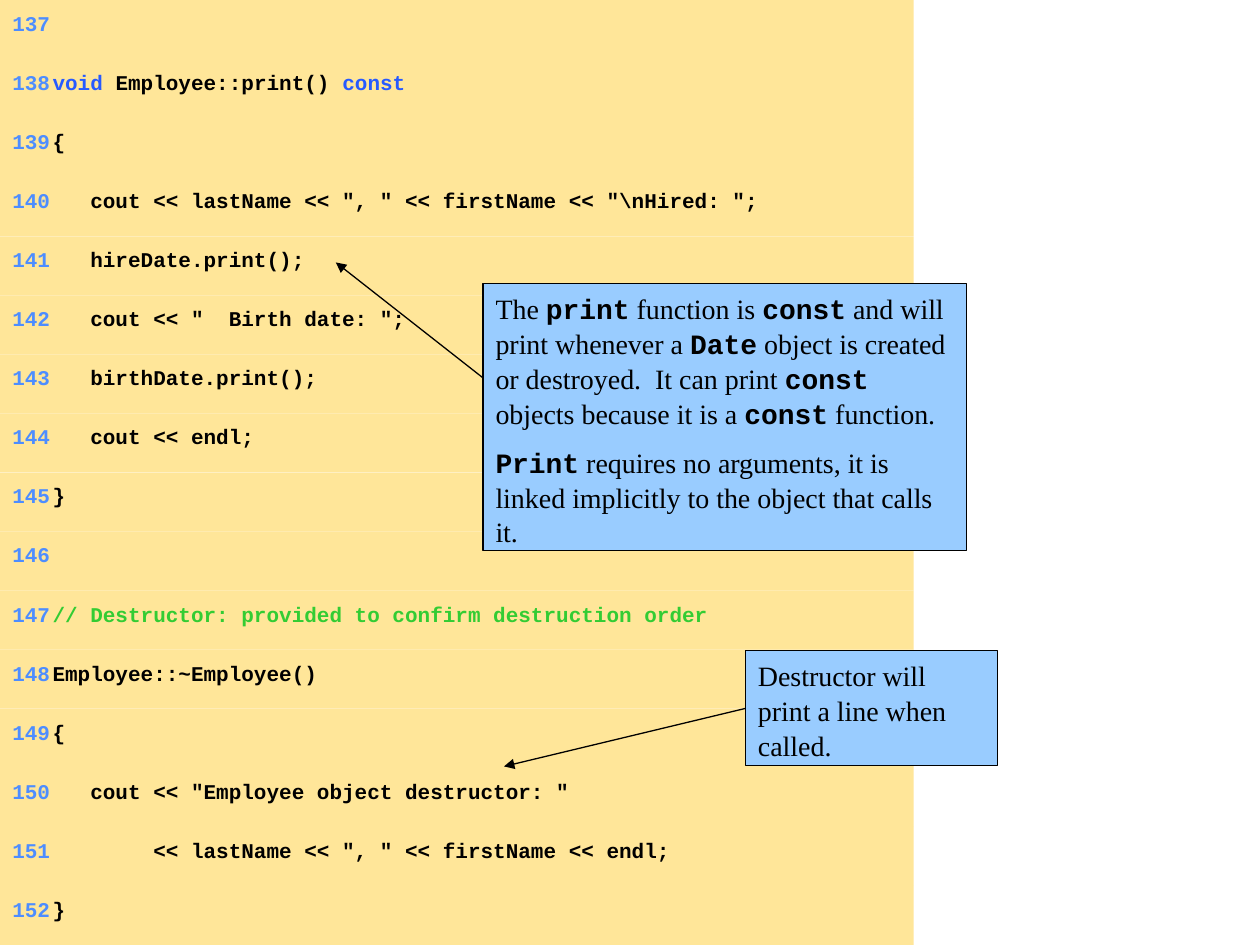
from lxml import etree
from pptx import Presentation
from pptx.dml.color import RGBColor
from pptx.enum.shapes import MSO_CONNECTOR, MSO_SHAPE
from pptx.enum.text import MSO_ANCHOR, PP_ALIGN
from pptx.oxml.ns import qn
from pptx.util import Cm, Pt

RECT = MSO_SHAPE.RECTANGLE
STRAIGHT = MSO_CONNECTOR.STRAIGHT
TOP = MSO_ANCHOR.TOP
LEFT = PP_ALIGN.LEFT
LEFT_SIDE = 1

COLORS = {
    "listing": "FFE699",
    "callout": "99CCFF",
    "number": "4D8DFF",
    "keyword": "275AFF",
    "comment": "33CC33",
    "plain": "000000",
}
CODE_FONT = "Courier New"
PROSE_FONT = "Times New Roman"

FIRST_LINE = 137
CODE = [
    [],
    [("void", "keyword"), (" Employee::print() ", "plain"), ("const", "keyword")],
    [("{", "plain")],
    [('   cout << lastName << ", " << firstName << "\\nHired: ";', "plain")],
    [("   hireDate.print();", "plain")],
    [('   cout << "  Birth date: ";', "plain")],
    [("   birthDate.print();", "plain")],
    [("   cout << endl;", "plain")],
    [("}", "plain")],
    [],
    [("// Destructor: provided to confirm destruction order", "comment")],
    [("Employee::~Employee()", "plain")],
    [("{", "plain")],
    [('   cout << "Employee object destructor: "', "plain")],
    [('        << lastName << ", " << firstName << endl;', "plain")],
    [("}", "plain")],
]

# Words between backticks are set as code.
PRINT_NOTE = [
    "The `print` function is `const` and will print whenever a `Date` object is "
    "created or destroyed.  It can print `const `objects because it is a `const` function.",
    "`Print` requires no arguments, it is linked implicitly to the object that calls it.",
]
DESTRUCTOR_NOTE = ["Destructor will print a line when called."]


def color(name):
    return RGBColor.from_string(COLORS[name])


def add_box(slide, box, fill, insets):
    """Add a filled rectangle with left, top, right and bottom insets in cm."""
    shape = slide.shapes.add_shape(RECT, *box)
    shape.shadow.inherit = False
    shape.fill.solid()
    shape.fill.fore_color.rgb = color(fill)
    frame = shape.text_frame
    frame.vertical_anchor = TOP
    frame.margin_left, frame.margin_top, frame.margin_right, frame.margin_bottom = map(Cm, insets)
    return shape


def add_run(paragraph, text, font, size, color_name, bold):
    run = paragraph.add_run()
    run.text = text
    run.font.name = font
    run.font.size = Pt(size)
    run.font.bold = bold
    run.font.color.rgb = color(color_name)


def add_tabs(paragraph, stops):
    tabs = etree.SubElement(paragraph._p.get_or_add_pPr(), qn("a:tabLst"))
    for position, alignment in stops:
        etree.SubElement(tabs, qn("a:tab"), pos=str(Cm(position)), algn=alignment)


def add_listing(slide, left, top, width, height):
    """Stack one row for each code line, with the line number before it."""
    row_height = height / len(CODE)
    for index, segments in enumerate(CODE):
        row_top = round(top + index * row_height)
        row = add_box(slide, (left, row_top, width, round(row_height)),
                      "listing", (0, 0.21, 0, 0))
        row.line.fill.background()
        row.text_frame.word_wrap = False
        line = row.text_frame.paragraphs[0]
        line.alignment = LEFT
        add_tabs(line, [(1.01, "r"), (1.06, "l")])
        number = (f"\t{FIRST_LINE + index}\t", "number")
        for text, color_name in [number, *segments]:
            add_run(line, text, CODE_FONT, 12, color_name, True)


def add_callout(slide, left, top, width, height, note):
    callout = add_box(slide, (left, top, width, height), "callout",
                      (0.25, 0.13, 0.25, 0.13))
    callout.line.color.rgb = color("plain")
    callout.line.width = Pt(0.75)
    frame = callout.text_frame
    frame.word_wrap = True
    for index, text in enumerate(note):
        paragraph = frame.add_paragraph() if index else frame.paragraphs[0]
        paragraph.alignment = LEFT
        paragraph.line_spacing = 1.04
        paragraph.space_before = Pt(8 if index else 0)
        for part, words in enumerate(text.split("`")):
            is_code = part % 2 == 1
            if words:
                add_run(paragraph, words, CODE_FONT if is_code else PROSE_FONT,
                        16, "plain", is_code)
    return callout


def add_pointer(slide, start, end):
    pointer = slide.shapes.add_connector(STRAIGHT, *start, *end)
    pointer.line.color.rgb = color("plain")
    pointer.line.width = Pt(0.75)
    etree.SubElement(pointer.line._get_or_add_ln(), qn("a:tailEnd"), type="triangle")
    etree.SubElement(pointer._element.spPr, qn("a:effectLst"))
    return pointer


def main():
    deck = Presentation()
    deck.slide_width, deck.slide_height = Cm(25.4), Cm(19.05)
    slide = deck.slides.add_slide(deck.slide_layouts[6])

    add_listing(slide, 0, 0, Cm(18.42), deck.slide_height)

    print_note = add_callout(slide, Cm(9.74), Cm(5.72), Cm(9.74), Cm(5.38), PRINT_NOTE)
    add_pointer(slide, (print_note.left, Cm(7.62)), (Cm(6.77), Cm(5.29)))

    destructor_note = add_callout(slide, Cm(15.03), Cm(13.12), Cm(5.08), Cm(2.32),
                                  DESTRUCTOR_NOTE)
    middle = destructor_note.top + destructor_note.height // 2
    pointer = add_pointer(slide, (destructor_note.left, middle), (Cm(10.16), Cm(15.45)))
    pointer.begin_connect(destructor_note, LEFT_SIDE)

    deck.save("out.pptx")


if __name__ == "__main__":
    main()
